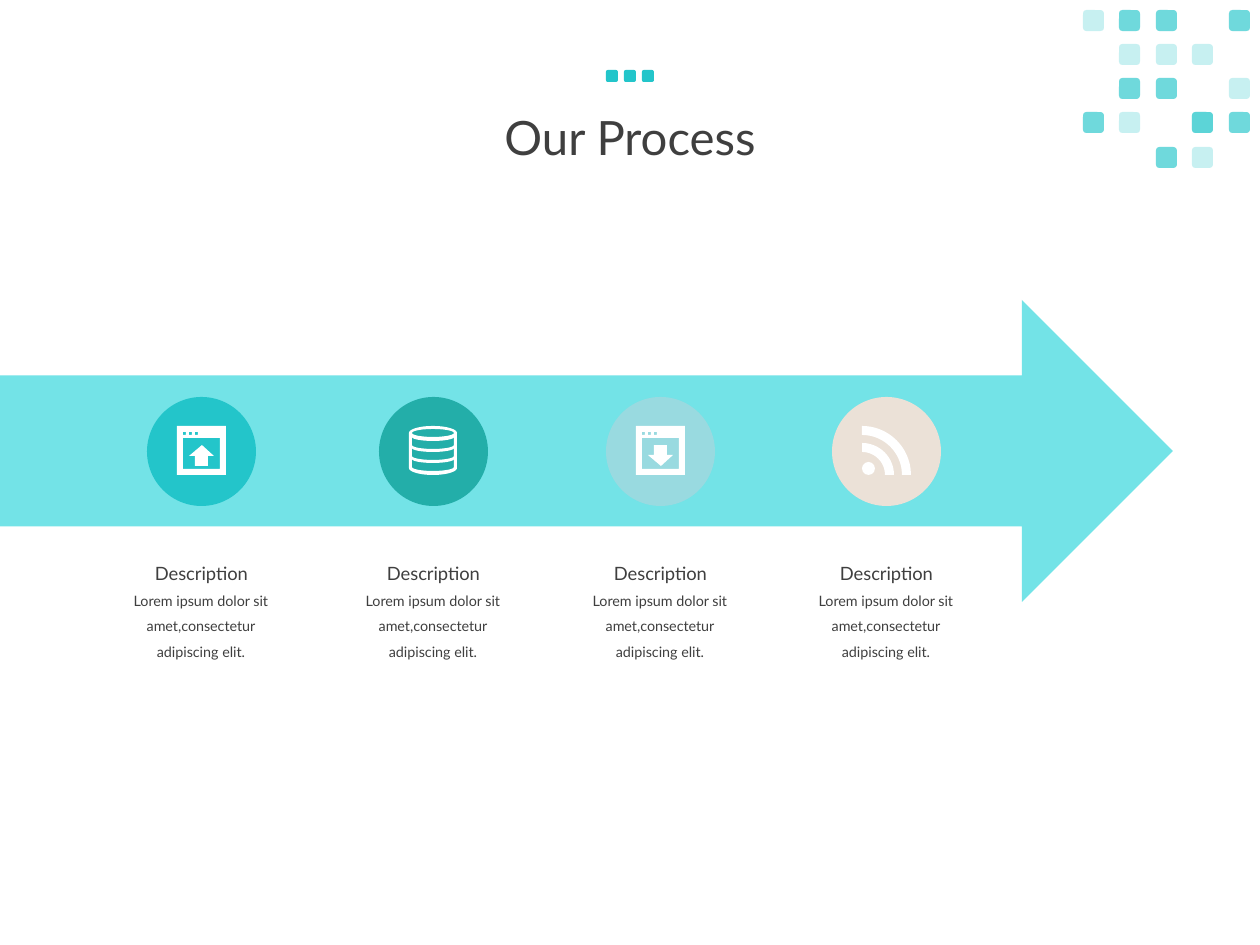
"""Build the "Our Process" slide: a wide arrow carrying four described steps."""
import math

import lxml.etree
import pptx
import pptx.dml.color
import pptx.enum.shapes
import pptx.enum.text
import pptx.oxml.ns
import pptx.util

RGBColor = pptx.dml.color.RGBColor
SHAPE = pptx.enum.shapes.MSO_SHAPE
TURQUOISE = RGBColor(0x23, 0xC5, 0xCA)
TEAL = RGBColor(0x23, 0xAE, 0xA9)
PALE_BLUE = RGBColor(0x99, 0xDA, 0xE0)
BEIGE = RGBColor(0xEB, 0xE1, 0xD7)
AQUA = RGBColor(0x73, 0xE3, 0xE7)
WHITE = RGBColor(0xFF, 0xFF, 0xFF)
CHARCOAL = RGBColor(0x3F, 0x3F, 0x3F)

SCALE = 914400 / 126
SLIDE_SIZE = (1260, 945)
TITLE = "Our Process"
HEADING = "Description"
BODY = "Lorem ipsum dolor sit amet,consectetur adipiscing elit."
STEPS = [
    (201, TURQUOISE, "upload"),
    (433, TEAL, "database"),
    (660, PALE_BLUE, "download"),
    (886, BEIGE, "feed"),
]
DOT_ROWS = ["LDD.D", ".LLL.", ".DD.L", "DL.BD", "..DL."]
DOT_OPACITIES = {".": (), "L": (25,), "D": (65,), "B": (25, 65)}

TITLE_FORMAT = {"size": pptx.util.Pt(27)}
HEADING_FORMAT = {"size": pptx.util.Pt(10.5)}
BODY_FORMAT = {"size": pptx.util.Pt(8.2)}


def emu(pixels):
    return pptx.util.Emu(round(pixels * SCALE))


def paint(shape, color, opacity=100):
    shape.shadow.inherit = False
    shape.fill.solid()
    shape.fill.fore_color.rgb = color
    shape.line.fill.background()
    if opacity < 100:
        color_element = shape.element.find(".//" + pptx.oxml.ns.qn("a:srgbClr"))
        alpha = lxml.etree.SubElement(color_element, pptx.oxml.ns.qn("a:alpha"))
        alpha.set("val", str(opacity * 1000))


def add_preset(shapes, kind, box, color, opacity=100):
    shape = shapes.add_shape(kind, *map(emu, box))
    paint(shape, color, opacity)
    return shape


def add_outline(shapes, left, top, contours):
    placed = [[(emu(left + x), emu(top + y)) for x, y in contour] for contour in contours]
    builder = shapes.build_freeform(*placed[0][0])
    builder.add_line_segments(placed[0][1:])
    for contour in placed[1:]:
        builder.move_to(*contour[0])
        builder.add_line_segments(contour[1:])
    paint(builder.convert_to_shape(), WHITE)


def add_text(shapes, box, text, font_format, line_spacing, wrap=True, grow=True):
    frame = shapes.add_textbox(*map(emu, box)).text_frame
    auto_size = pptx.enum.text.MSO_AUTO_SIZE
    frame_format = {
        "word_wrap": wrap,
        "auto_size": auto_size.SHAPE_TO_FIT_TEXT if grow else auto_size.NONE,
        "vertical_anchor": pptx.enum.text.MSO_ANCHOR.TOP if grow else pptx.enum.text.MSO_ANCHOR.MIDDLE,
    }
    for name, value in frame_format.items():
        setattr(frame, name, value)
    paragraph = frame.paragraphs[0]
    paragraph.alignment = pptx.enum.text.PP_ALIGN.CENTER
    paragraph.line_spacing = line_spacing
    run = paragraph.add_run()
    run.text = text
    for name, value in {"name": "Lato", **font_format}.items():
        setattr(run.font, name, value)
    run.font.color.rgb = CHARCOAL


def rectangle(left, top, right, bottom):
    return [(left, top), (right, top), (right, bottom), (left, bottom), (left, top)]


def arc(center_x, center_y, radius_x, radius_y, start, end, count=24):
    angles = [math.radians(start + (end - start) * i / count) for i in range(count + 1)]
    return [(center_x + radius_x * math.cos(a), center_y + radius_y * math.sin(a)) for a in angles]


def add_window(shapes, left, top, points_up):
    buttons = [rectangle(x, 6, x + 3, 9) for x in (6, 12, 18)]
    add_outline(shapes, left, top, [rectangle(0, 0, 49, 49), *buttons, rectangle(6, 12, 43, 43)])
    arrow = [(18, 40), (31, 40), (31, 30), (37, 30), (25, 19), (12, 30), (18, 30), (18, 40)]
    if not points_up:
        arrow = [(x, 59 - y) for x, y in arrow]
    add_outline(shapes, left, top, [arrow])


def add_database(shapes, left, top):
    cylinder = arc(24, 7, 24, 7, 180, 360) + arc(24, 42, 24, 7, 0, 180)
    bands = [
        arc(24, y, 21, 4, 180, 0) + arc(24, y + 8, 21, 4, 0, 180)
        for y in (11, 22, 33)
    ]
    contours = [cylinder, arc(24, 7, 21, 4, 0, 360), *bands]
    add_outline(shapes, left, top, [contour + contour[:1] for contour in contours])


def add_feed(shapes, left, top):
    add_preset(shapes, SHAPE.OVAL, (left, top + 36, 13, 13), WHITE)
    for radius in (32, 49):
        inner = radius - 9
        band = arc(0, 49, radius, radius, -90, 0) + arc(0, 49, inner, inner, 0, -90)
        add_outline(shapes, left, top, [band + band[:1]])


def add_icon(shapes, name, left, top):
    if name == "database":
        add_database(shapes, left, top)
        return
    group = shapes.add_group_shape()
    if name == "feed":
        add_feed(group.shapes, left, top)
    else:
        add_window(group.shapes, left, top, name == "upload")


def add_decoration(shapes):
    dots = shapes.add_group_shape().shapes
    for row, pattern in enumerate(DOT_ROWS):
        for column, mark in enumerate(pattern):
            box = (1083 + column * 146 // 4, 10 + row * 137 // 4, 21, 21)
            for opacity in DOT_OPACITIES[mark]:
                add_preset(dots, SHAPE.ROUNDED_RECTANGLE, box, TURQUOISE, opacity)
    accents = shapes.add_group_shape().shapes
    for index in range(3):
        add_preset(accents, SHAPE.ROUNDED_RECTANGLE, (606 + 18 * index, 70, 12, 12), TURQUOISE)


def main():
    presentation = pptx.Presentation()
    presentation.slide_width, presentation.slide_height = map(emu, SLIDE_SIZE)
    slide = presentation.slides.add_slide(presentation.slide_layouts[6])
    shapes = slide.shapes
    add_text(shapes, (87, 49, 1086, 183), TITLE, TITLE_FORMAT, 0.9, grow=False)
    add_decoration(shapes)
    add_preset(shapes, SHAPE.NOTCHED_RIGHT_ARROW, (-77, 300, 1250, 302), AQUA)
    for center, color, icon in STEPS:
        add_preset(shapes, SHAPE.OVAL, (center - 54, 397, 109, 109), color)
        add_icon(shapes, icon, center - 24, 426)
        add_text(shapes, (center - 62, 556, 125, 35), HEADING, HEADING_FORMAT, 1.0, wrap=False)
        add_text(shapes, (center - 94, 577, 188, 88), BODY, BODY_FORMAT, 1.5)
    presentation.save("out.pptx")


if __name__ == "__main__":
    main()
